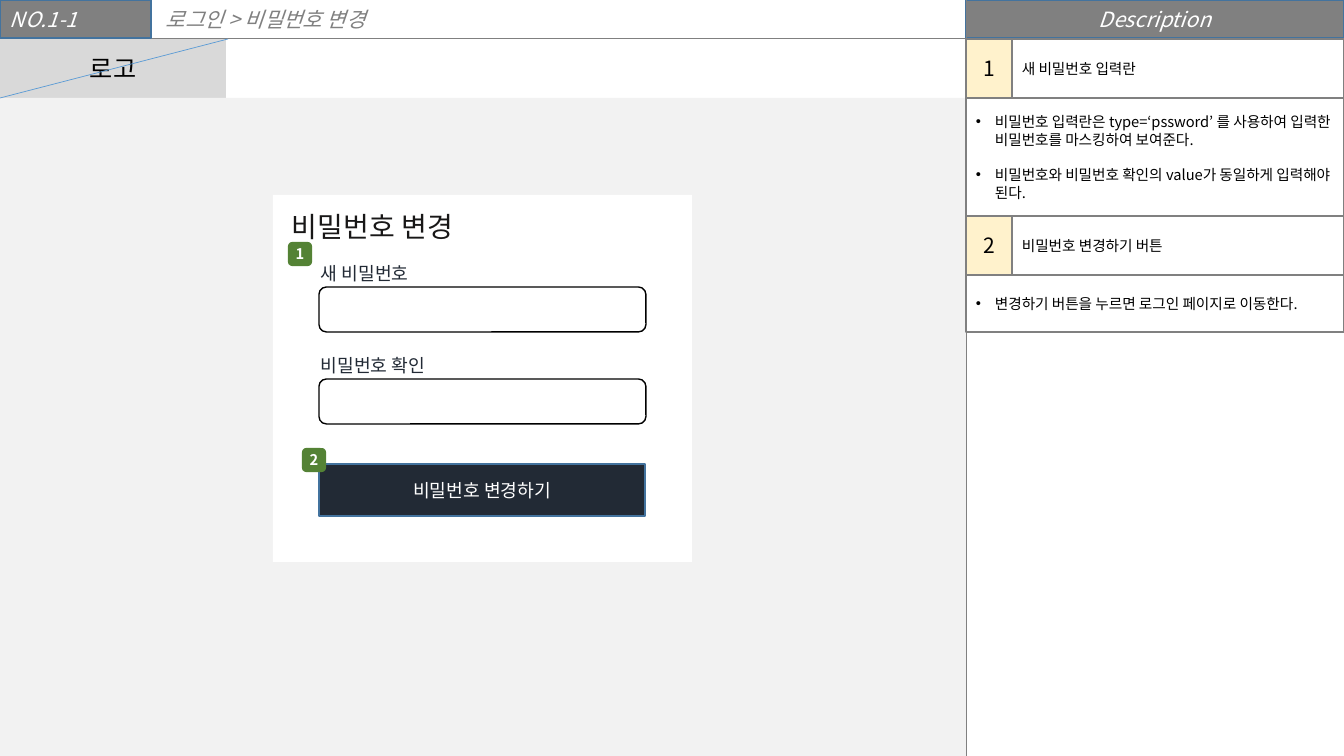
from dataclasses import dataclass

from lxml.etree import SubElement
from pptx import Presentation
from pptx.dml.color import RGBColor
from pptx.enum.shapes import MSO_CONNECTOR, MSO_SHAPE
from pptx.enum.text import MSO_ANCHOR, MSO_AUTO_SIZE, PP_ALIGN
from pptx.oxml.ns import qn
from pptx.util import Emu, Pt


@dataclass(frozen=True)
class Theme:
    """Colours, type sizes and font of the wireframe."""
    font: str = "Noto Sans CJK KR"
    white: str = "FFFFFF"
    black: str = "000000"
    gray: str = "808080"
    edge: str = "43739E"
    logo: str = "D9D9D9"
    page: str = "F2F2F2"
    slash: str = "5B9BD5"
    title: str = "181717"
    navy: str = "222A35"
    green: str = "548235"
    cream: str = "FFF2CC"
    small: float = 10.5
    label: float = 13
    head: float = 15
    brand: float = 18
    large: float = 20


THEME = Theme()
SCALE = 914400 / 100.8
WIDE, TALL = 1344, 756
BAR = 38
SIDE = 966
ROW = 59
NOTES = [
    ("새 비밀번호 입력란", 118,
     ["비밀번호 입력란은 type=‘pssword’ 를 사용하여 입력한 비밀번호를 마스킹하여 보여준다.",
      "비밀번호와 비밀번호 확인의 value가 동일하게 입력해야 된다."]),
    ("비밀번호 변경하기 버튼", 57,
     ["변경하기 버튼을 누르면 로그인 페이지로 이동한다."]),
]


def px(*sizes):
    """Turn pixel lengths into EMU."""
    return [Emu(round(size * SCALE)) for size in sizes]


def rgb(code):
    """Turn a hex code into a colour."""
    return RGBColor.from_string(code)


def style(para, size, color, bold=False, italic=False):
    """Set the font of a whole paragraph."""
    font = para.font
    font.name = THEME.font
    font.size = Pt(size)
    font.color.rgb = rgb(color)
    font.bold = bold
    font.italic = italic
    props = para._p.pPr.find(qn("a:defRPr"))
    SubElement(props, qn("a:ea"), typeface=THEME.font)


def box(slide, area, fill=None, line=None, kind=MSO_SHAPE.RECTANGLE):
    """Draw a preset shape with an optional fill and outline."""
    shape = slide.shapes.add_shape(kind, *px(*area))
    shape.shadow.inherit = False
    if fill:
        shape.fill.solid()
        shape.fill.fore_color.rgb = rgb(fill)
    else:
        shape.fill.background()
    if line:
        shape.line.color.rgb = rgb(line)
        shape.line.width = Pt(1)
    else:
        shape.line.fill.background()
    return shape


def write(shape, text, size, color, align=PP_ALIGN.CENTER, **face):
    """Put one line of text in the middle of a shape."""
    frame = shape.text_frame
    frame.vertical_anchor = MSO_ANCHOR.MIDDLE
    para = frame.paragraphs[0]
    para.text = text
    para.alignment = align
    style(para, size, color, **face)


def label(slide, area, text, size, color, wrap=True, space=None, **face):
    """Add a text box that grows with its text."""
    frame = slide.shapes.add_textbox(*px(*area)).text_frame
    frame.word_wrap = wrap
    frame.auto_size = MSO_AUTO_SIZE.SHAPE_TO_FIT_TEXT
    para = frame.paragraphs[0]
    para.text = text
    if space:
        para.line_spacing = space
    style(para, size, color, **face)


def rule(slide, ends, color):
    """Draw a thin straight line."""
    line = slide.shapes.add_connector(MSO_CONNECTOR.STRAIGHT, *px(*ends))
    line.line.color.rgb = rgb(color)
    line.line.width = Pt(0.5)
    SubElement(line._element.spPr, qn("a:effectLst"))


def badge(slide, left, top, text):
    """Draw a small numbered marker."""
    shape = box(slide, (left, top, 24, 24), THEME.green,
                kind=MSO_SHAPE.ROUNDED_RECTANGLE)
    shape.text_frame.margin_left = shape.text_frame.margin_right = 0
    write(shape, text, THEME.small, THEME.white, bold=True)


def field(slide, top, text, width):
    """Draw an input field under its label."""
    box(slide, (319, top, 327, 45), line=THEME.black,
        kind=MSO_SHAPE.ROUNDED_RECTANGLE)
    label(slide, (311, top - 30, width, 32), text, THEME.label, THEME.navy,
          wrap=False)


def bullets(shape, items):
    """Fill a shape with a bulleted list."""
    frame = shape.text_frame
    frame.vertical_anchor = MSO_ANCHOR.MIDDLE
    hang, = px(19)
    for index, item in enumerate(items):
        para = frame.add_paragraph() if index else frame.paragraphs[0]
        para.text = item
        para.alignment = PP_ALIGN.LEFT
        if index:
            para.space_before = Pt(12.5)
        props = para._p.get_or_add_pPr()
        props.set("marL", str(hang))
        props.set("indent", str(-hang))
        SubElement(props, qn("a:buFont"), typeface="Arial")
        SubElement(props, qn("a:buChar"), char="•")
        style(para, THEME.small, THEME.black)


def note(slide, top, number, name, height, items):
    """Draw a numbered description with its details."""
    cell = 46
    title = box(slide, (SIDE + cell, top, WIDE - SIDE - cell, ROW),
                THEME.white, THEME.gray)
    write(title, name, THEME.small, THEME.black, PP_ALIGN.LEFT)
    mark = box(slide, (SIDE, top, cell, ROW), THEME.cream, THEME.gray)
    write(mark, str(number), THEME.head, THEME.black)
    body = box(slide, (SIDE, top + ROW, WIDE - SIDE, height),
               THEME.white, THEME.gray)
    bullets(body, items)


def header(slide):
    """Draw the top bar and the column divider."""
    rule(slide, (0, BAR, WIDE, BAR), THEME.gray)
    about = box(slide, (SIDE, 0, WIDE - SIDE, BAR), THEME.gray, THEME.edge)
    write(about, "Description", THEME.head, THEME.white, italic=True)
    rule(slide, (SIDE, 0, SIDE, TALL), THEME.gray)
    label(slide, (156, 2, 536, 35), "로그인 > 비밀번호 변경", THEME.head,
          THEME.gray, italic=True)
    code = box(slide, (0, 0, 151, BAR), THEME.gray, THEME.edge)
    write(code, "NO.1-1", THEME.head, THEME.white, PP_ALIGN.LEFT, italic=True)


def screen(slide):
    """Draw the page mock-up with its form."""
    top = BAR + 1
    base = top + ROW
    box(slide, (0, top, SIDE, ROW), THEME.white)
    logo = box(slide, (0, top, 226, ROW), THEME.logo)
    write(logo, "로고", THEME.brand, THEME.black)
    box(slide, (0, base, SIDE, TALL - base), THEME.page)
    rule(slide, (0, base, 228, top), THEME.slash)
    box(slide, (273, 195, 419, 367), THEME.white)
    label(slide, (282, 194, 255, 49), "비밀번호 변경", THEME.large,
          THEME.title, space=1.3)
    button = box(slide, (319, 464, 326, 52), THEME.navy, THEME.edge)
    write(button, "비밀번호 변경하기", THEME.label, THEME.white)
    badge(slide, 288, 242, "1")
    badge(slide, 302, 448, "2")
    field(slide, 287, "새 비밀번호", 119)
    field(slide, 379, "비밀번호 확인", 137)


def main():
    """Build the slide and save it."""
    deck = Presentation()
    deck.slide_width, deck.slide_height = px(WIDE, TALL)
    slide = deck.slides.add_slide(deck.slide_layouts[6])
    header(slide)
    screen(slide)
    top = BAR + 1
    for number, (name, height, items) in enumerate(NOTES, 1):
        note(slide, top, number, name, height, items)
        top += ROW + height
    deck.save("out.pptx")


if __name__ == "__main__":
    main()
